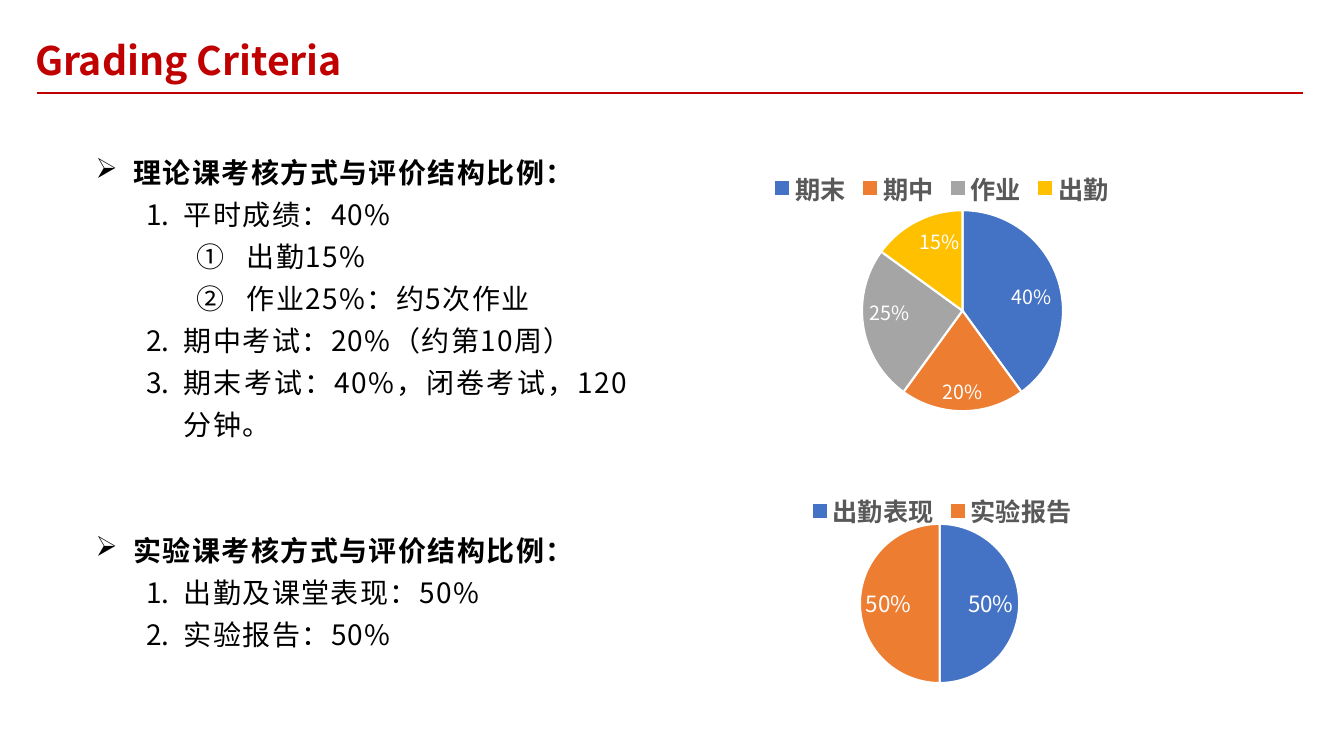
from lxml import etree
from pptx import Presentation
from pptx import util as u
from pptx.chart.data import CategoryChartData
from pptx.dml.color import RGBColor
from pptx.enum import chart as ch, shapes, text
from pptx.oxml import ns

FONT = "Noto Sans CJK SC"
RED, BLACK, WHITE, GREY = "C00000", "000000", "FFFFFF", "595959"
SLICES = ["4472C4", "ED7D31", "A5A5A5", "FFC000"]

# Per level: left margin, hanging indent, bullet tag and its attributes
LEVELS = [
    (27, 27, "a:buChar", {"char": "➢"}),
    (63, 27, "a:buAutoNum", {"type": "arabicPeriod"}),
    (108, 36, "a:buAutoNum", {"type": "circleNumDbPlain"}),
]


def rgb(value):
    return RGBColor.from_string(value)


def add(parent, tag, **attrs):
    return etree.SubElement(parent, ns.qn(tag), attrs)


class Deck:
    def __init__(self, prs):
        self.slide = prs.slides.add_slide(prs.slide_layouts[6])

    def style(self, font, size, color, bold=False):
        font.size, font.bold, font.name = u.Pt(size), bold, FONT
        font.color.rgb = rgb(color)

    def run(self, p, words, size, color, bold=False, spacing=0):
        r = p.add_run()
        r.text = words
        self.style(r.font, size, color, bold)
        rpr = r._r.get_or_add_rPr()
        rpr.set("spc", str(spacing * 100))
        add(rpr, "a:ea", typeface=FONT)

    def rule(self, x1, y, x2, color, width):
        line = self.slide.shapes.add_connector(
            shapes.MSO_CONNECTOR.STRAIGHT, u.Pt(x1), u.Pt(y), u.Pt(x2), u.Pt(y))
        line.line.color.rgb, line.line.width = rgb(color), u.Pt(width)
        add(line._element.spPr, "a:effectLst")

    def title(self, words, *box):
        sp = self.slide.shapes.add_shape(
            shapes.MSO_SHAPE.RECTANGLE, *map(u.Pt, box))
        sp.shadow.inherit = False
        sp.fill.solid()
        sp.fill.fore_color.rgb = rgb(WHITE)
        sp.line.fill.background()
        sp.text_frame.word_wrap = True
        p = sp.text_frame.paragraphs[0]
        p.alignment = text.PP_ALIGN.LEFT
        self.run(p, words, 28, RED, bold=True)

    def outline(self, items, *box):
        tf = self.slide.shapes.add_textbox(*map(u.Pt, box)).text_frame
        tf.word_wrap = True
        tf.auto_size = text.MSO_AUTO_SIZE.SHAPE_TO_FIT_TEXT
        for i, (level, words) in enumerate(items):
            p = tf.add_paragraph() if i else tf.paragraphs[0]
            p.level, p.line_spacing = level, 1.25
            p.alignment = text.PP_ALIGN.JUSTIFY
            margin, hang, tag, attrs = LEVELS[level]
            ppr = p._p.get_or_add_pPr()
            ppr.set("marL", str(u.Pt(margin)))
            ppr.set("indent", str(-u.Pt(hang)))
            add(ppr, tag, **attrs)
            self.run(p, words, 20, BLACK, bold=level == 0, spacing=1)

    def pie(self, shares, label_size, plot, *box):
        data = CategoryChartData()
        data.categories = list(shares)
        data.add_series("Series 1", list(shares.values()))
        chart = self.slide.shapes.add_chart(
            ch.XL_CHART_TYPE.PIE, *map(u.Pt, box), data).chart
        chart.has_title = False
        self.style(chart.font, 10, BLACK)
        chart.has_legend = True
        chart.legend.position = ch.XL_LEGEND_POSITION.TOP
        chart.legend.include_in_layout = False
        self.style(chart.legend.font, 18, GREY, bold=True)

        # Slices and percentage labels
        pie = chart.plots[0]
        pie.vary_by_categories = True
        for i, color in enumerate(SLICES[:len(shares)]):
            form = pie.series[0].points[i].format
            form.fill.solid()
            form.fill.fore_color.rgb = rgb(color)
            form.line.color.rgb, form.line.width = rgb(WHITE), u.Pt(1.5)
        pie.has_data_labels = True
        labels = pie.data_labels
        labels.show_percentage, labels.show_value = True, False
        labels.number_format, labels.number_format_is_linked = "0%", False
        labels.position = ch.XL_LABEL_POSITION.INSIDE_END
        self.style(labels.font, label_size, WHITE)

        # East Asian font and inner plot position
        space = chart.element
        for latin in list(space.iter(ns.qn("a:latin"))):
            ea = add(latin.getparent(), "a:ea", typeface=FONT)
            latin.addnext(ea)
        area = next(space.iter(ns.qn("c:plotArea")))
        for old in area.findall(ns.qn("c:layout")):
            area.remove(old)
        layout = add(area, "c:layout")
        area.insert(0, layout)
        manual = add(layout, "c:manualLayout")
        add(manual, "c:layoutTarget", val="inner")
        for side in "xy":
            add(manual, f"c:{side}Mode", val="edge")
        for key, value in zip("xywh", plot):
            add(manual, f"c:{key}", val=str(value))


def main():
    prs = Presentation()
    prs.slide_width, prs.slide_height = u.Pt(960), u.Pt(540)
    deck = Deck(prs)

    # Heading
    deck.rule(26.6, 66.2, 931, RED, 1.5)
    deck.title("Grading Criteria", 18, 22.3, 936, 41)

    # Theory course
    deck.pie({"期末": 40, "期中": 20, "作业": 25, "出勤": 15}, 14,
             (0.09, 0.19, 0.91, 0.72), 509, 112.3, 327.6, 199.4)
    deck.outline([
        (0, "理论课考核方式与评价结构比例："),
        (1, "平时成绩：40%"),
        (2, "出勤15%"),
        (2, "作业25%：约5次作业"),
        (1, "期中考试：20%（约第10周）"),
        (1, "期末考试：40%，闭卷考试，120分钟。"),
    ], 61.2, 101.5, 394.6, 216.7)

    # Lab course
    deck.outline([
        (0, "实验课考核方式与评价结构比例："),
        (1, "出勤及课堂表现：50%"),
        (1, "实验报告：50%"),
    ], 61.2, 371.5, 394.6, 95)
    deck.pie({"出勤表现": 50, "实验报告": 50}, 16,
             (0.12, 0.18, 0.75, 0.65), 504, 342.7, 337.7, 175)

    prs.save("out.pptx")


if __name__ == "__main__":
    main()
